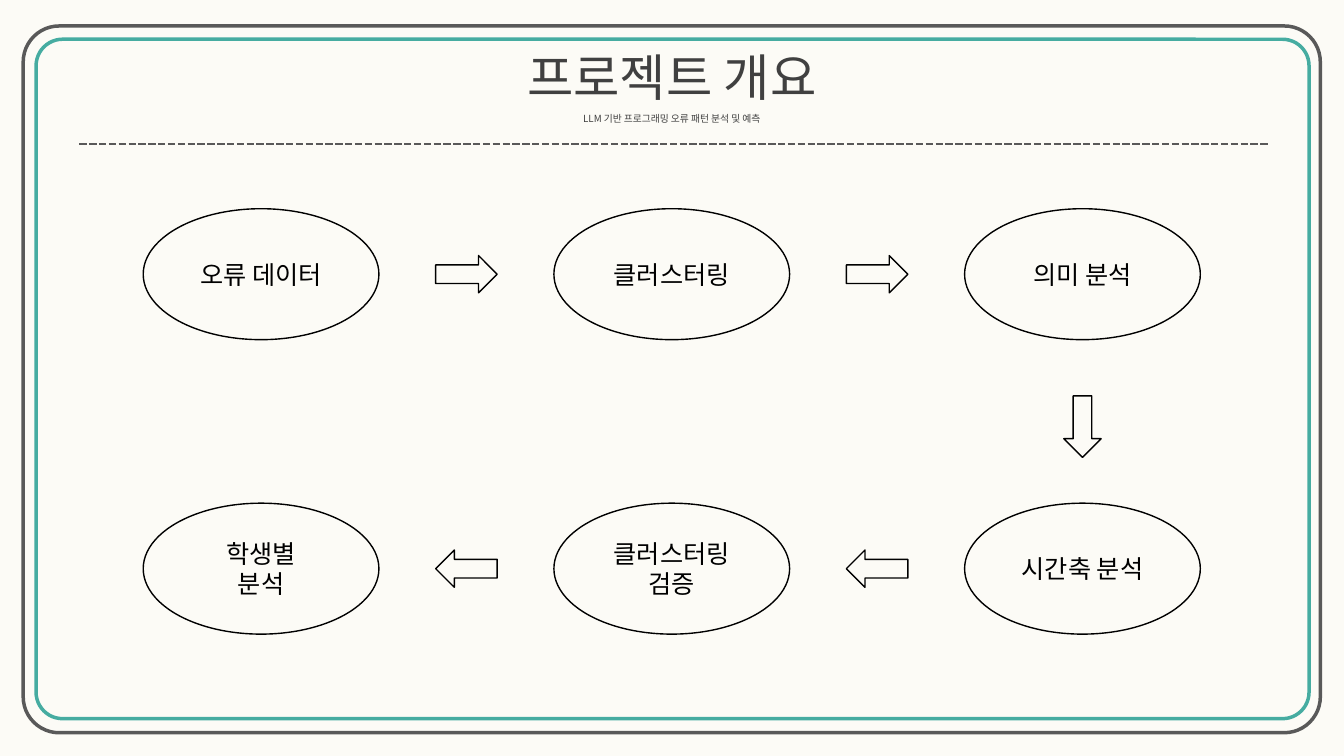
from dataclasses import dataclass

from lxml.etree import SubElement
from pptx import Presentation
from pptx.dml.color import RGBColor as Rgb
from pptx.enum.dml import MSO_LINE as Dash
from pptx.enum.shapes import MSO_CONNECTOR as Wire, MSO_SHAPE as Kind
from pptx.enum.text import MSO_ANCHOR as Anchor, MSO_AUTO_SIZE as Fit, PP_ALIGN as Align
from pptx.oxml.ns import qn
from pptx.shapes.autoshape import Shape
from pptx.slide import Slide
from pptx.text.text import TextFrame
from pptx.util import Cm, Pt


@dataclass(frozen=True)
class Theme:
    font: str = "Noto Sans CJK KR"
    paper: Rgb = Rgb(0xFC, 0xFB, 0xF6)
    teal: Rgb = Rgb(0x46, 0xAC, 0xA1)
    gray: Rgb = Rgb(0x59, 0x59, 0x59)
    dark: Rgb = Rgb(0x40, 0x40, 0x40)
    black: Rgb = Rgb(0, 0, 0)
    head: float = 36
    sub: float = 7
    body: float = 18
    frame: float = 2.5
    rule: float = 1.75
    thin: float = 1


@dataclass(frozen=True)
class Box:
    """Centre and size in centimetres."""
    x: float
    y: float
    w: float
    h: float


@dataclass(frozen=True)
class Frame:
    box: Box
    round: float
    color: Rgb


@dataclass(frozen=True)
class Step:
    col: int
    row: int
    lines: tuple[str, ...]


@dataclass(frozen=True)
class Arrow:
    kind: Kind
    box: Box


THEME = Theme()
COLS = [6.58 + 10.35 * i for i in range(3)]
ROWS = [6.91, 14.33]
GAPS = [(a + b) / 2 for a, b in zip(COLS, COLS[1:])]
OVAL_W, OVAL_H = 5.94, 3.3
LONG, WIDE = 1.55, 0.94

FRAMES = [
    Frame(Box(16.95, 9.55, 32.08, 17.12), 0.039, THEME.teal),
    Frame(Box(16.93, 9.56, 32.69, 17.81), 0.051, THEME.gray),
]
STEPS = [
    Step(0, 0, ("오류 데이터",)),
    Step(1, 0, ("클러스터링",)),
    Step(2, 0, ("의미 분석",)),
    Step(2, 1, ("시간축 분석",)),
    Step(1, 1, ("클러스터링", "검증")),
    Step(0, 1, ("학생별", "분석")),
]
ARROWS = [
    Arrow(kind, Box(x, y, LONG, WIDE))
    for kind, y in zip((Kind.RIGHT_ARROW, Kind.LEFT_ARROW), ROWS)
    for x in GAPS
] + [Arrow(Kind.DOWN_ARROW, Box(COLS[2], 10.75, WIDE, LONG))]


def place(shape: Shape, box: Box) -> None:
    shape.left, shape.top = Cm(box.x - box.w / 2), Cm(box.y - box.h / 2)
    shape.width, shape.height = Cm(box.w), Cm(box.h)


def outline(slide: Slide, kind: Kind, box: Box, color: Rgb, width: float) -> Shape:
    shape = slide.shapes.add_shape(kind, 0, 0, 0, 0)
    place(shape, box)
    shape.shadow.inherit = False
    shape.fill.background()
    shape.line.color.rgb = color
    shape.line.width = Pt(width)
    return shape


def write(frame: TextFrame, lines: list[tuple[str, float]], color: Rgb) -> None:
    frame.word_wrap = False
    for i, (text, size) in enumerate(lines):
        para = frame.add_paragraph() if i else frame.paragraphs[0]
        para.alignment = Align.CENTER
        run = para.add_run()
        run.text = text
        font = run.font
        font.name, font.size, font.color.rgb = THEME.font, Pt(size), color
        SubElement(run._r.get_or_add_rPr(), qn("a:ea"), typeface=THEME.font)


def add_rule(slide: Slide) -> None:
    rule = slide.shapes.add_connector(Wire.STRAIGHT, Cm(2), Cm(3.63), Cm(32), Cm(3.63))
    rule.line.color.rgb = THEME.gray
    rule.line.width = Pt(THEME.rule)
    rule.line.dash_style = Dash.SQUARE_DOT
    SubElement(rule._element.spPr, qn("a:effectLst"))


def add_title(slide: Slide) -> None:
    title = slide.shapes.title
    place(title, Box(16.93, 2.15, 8.66, 2.21))
    frame = title.text_frame
    frame.vertical_anchor = Anchor.TOP
    frame.auto_size = Fit.SHAPE_TO_FIT_TEXT
    write(frame, [("프로젝트 개요", THEME.head),
                  ("LLM 기반 프로그래밍 오류 패턴 분석 및 예측", THEME.sub)], THEME.dark)
    frame.paragraphs[1].line_spacing = 1.5


def add_step(slide: Slide, step: Step) -> None:
    box = Box(COLS[step.col], ROWS[step.row], OVAL_W, OVAL_H)
    oval = outline(slide, Kind.OVAL, box, THEME.black, THEME.thin)
    oval.text_frame.vertical_anchor = Anchor.MIDDLE
    write(oval.text_frame, [(line, THEME.body) for line in step.lines], THEME.black)


def main() -> None:
    deck = Presentation()
    deck.slide_width, deck.slide_height = Cm(33.87), Cm(19.05)
    slide = deck.slides.add_slide(deck.slide_layouts[5])
    slide.background.fill.solid()
    slide.background.fill.fore_color.rgb = THEME.paper

    # Double border
    for item in FRAMES:
        edge = outline(slide, Kind.ROUNDED_RECTANGLE, item.box, item.color, THEME.frame)
        edge.adjustments[0] = item.round

    # Heading
    add_rule(slide)
    add_title(slide)

    # Process flow
    for step in STEPS:
        add_step(slide, step)
    for arrow in ARROWS:
        outline(slide, arrow.kind, arrow.box, THEME.black, THEME.thin)

    deck.save("out.pptx")


if __name__ == "__main__":
    main()
